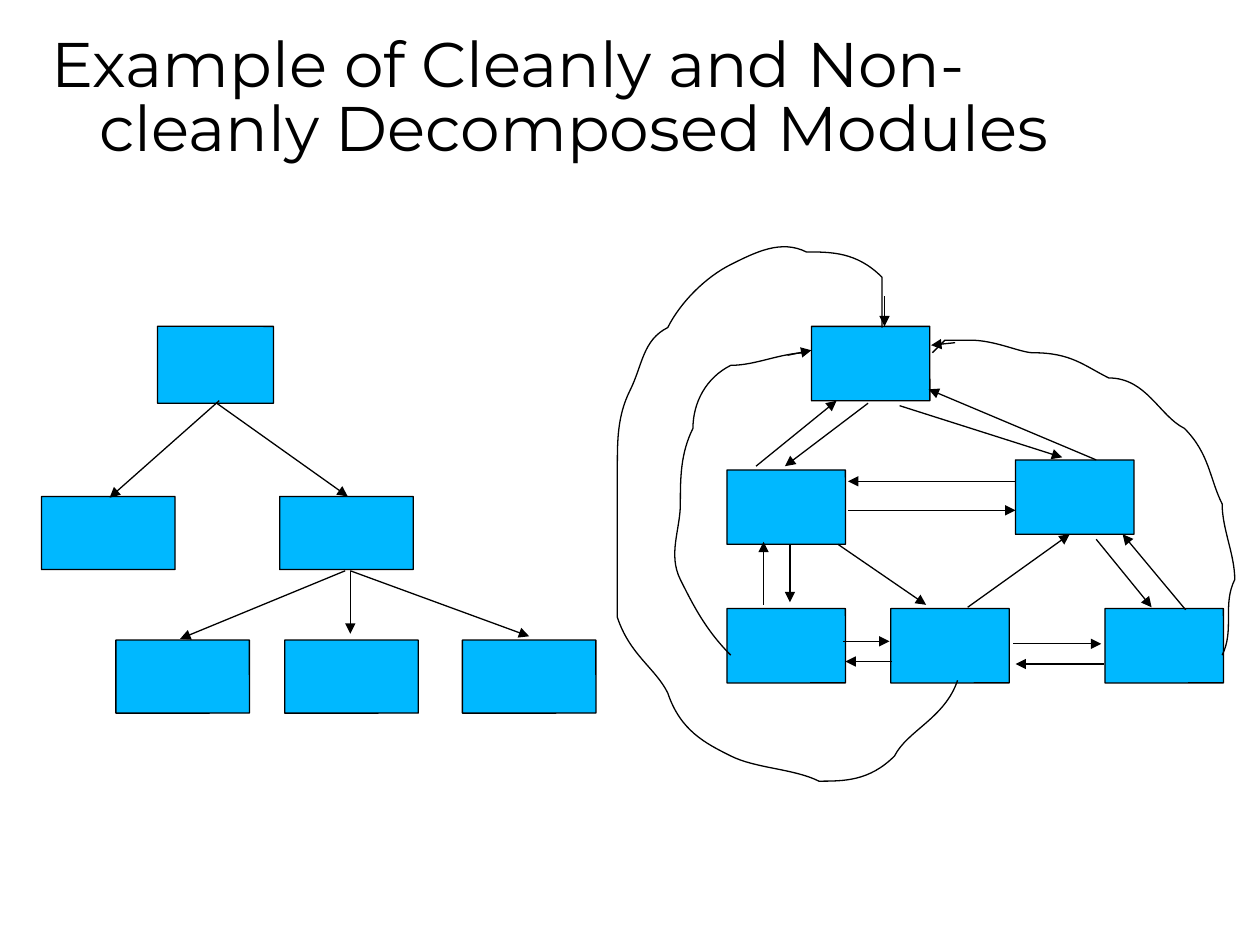
import lxml.etree
import pptx
import pptx.dml.color
import pptx.enum.shapes
import pptx.enum.text
import pptx.oxml.ns
import pptx.util

COLOURS = {"ink": "000000", "module": "00B8FF", "paper": "FFFFFF"}
SHAPES = pptx.enum.shapes.MSO_SHAPE
qn = pptx.oxml.ns.qn


def colour(name):
    """Return a named colour as an RGB value."""
    return pptx.dml.color.RGBColor.from_string(COLOURS[name])


def apply(target, values):
    """Set attributes of an object from a dict."""
    for name, value in values.items():
        setattr(target, name, value)


class Sketch:
    """Style and current slide, measured on a grid of 100 columns by 75 rows."""

    cell = pptx.util.Inches(0.1)
    line_width = pptx.util.Pt(0.74)
    title_font = {"name": "Montserrat", "size": pptx.util.Pt(36)}

    def __init__(self, deck):
        """Add a blank page to the deck."""
        apply(deck, {"slide_width": 100 * self.cell, "slide_height": 75 * self.cell})
        self.page = deck.slides.add_slide(deck.slide_layouts[6])
        self.page.background.fill.solid()
        self.page.background.fill.fore_color.rgb = colour("paper")

    def grid(self, *cells):
        """Turn grid cells into lengths."""
        return [pptx.util.Emu(round(count * self.cell)) for count in cells]

    def stroke(self, line):
        """Give a line the common colour and width."""
        line.color.rgb = colour("ink")
        line.width = self.line_width

    def title(self, text, left, top, width, height):
        """Write the title with a hanging indent."""
        box = self.page.shapes.add_textbox(*self.grid(left, top, width, height))
        apply(box.text_frame, {
            "word_wrap": True,
            "vertical_anchor": pptx.enum.text.MSO_ANCHOR.MIDDLE,
            "margin_left": 0, "margin_right": 0, "margin_top": 0, "margin_bottom": 0})
        para = box.text_frame.paragraphs[0]
        apply(para, {"line_spacing": 0.85, "alignment": pptx.enum.text.PP_ALIGN.LEFT})
        hang, = self.grid(3.8)
        for name, value in {"marL": hang, "indent": -hang}.items():
            para._p.get_or_add_pPr().set(name, str(int(value)))
        span = para.add_run()
        span.text = text
        apply(span.font, self.title_font)
        span.font.color.rgb = colour("ink")

    def module(self, left, top, width, height):
        """Draw one module box."""
        box = self.page.shapes.add_shape(
            SHAPES.ROUNDED_RECTANGLE, *self.grid(left, top, width, height))
        box.adjustments[0] = 0.003
        box.shadow.inherit = False
        box.fill.solid()
        box.fill.fore_color.rgb = colour("module")
        self.stroke(box.line)

    def arrow(self, *ends):
        """Draw a straight arrow to its second end."""
        link = self.page.shapes.add_connector(
            pptx.enum.shapes.MSO_CONNECTOR.STRAIGHT, *self.grid(*ends))
        self.stroke(link.line)
        lxml.etree.SubElement(link.line._get_or_add_ln(), qn("a:tailEnd"), type="triangle")
        lxml.etree.SubElement(link._element.spPr, qn("a:effectLst"))

    def curve(self, start, bends, tail):
        """Draw an open outline: cubic bends first, then straight pieces."""
        points = [bend[i:i + 2] for bend in bends for i in (0, 2, 4)] + tail
        builder = self.page.shapes.build_freeform(*start, scale=self.cell)
        builder.add_line_segments(points, close=False)
        outline = builder.convert_to_shape()
        outline.shadow.inherit = False
        outline.fill.background()
        self.stroke(outline.line)
        pieces = outline._element.findall(".//" + qn("a:lnTo"))
        for i in range(0, 3 * len(bends), 3):
            bezier = lxml.etree.Element(qn("a:cubicBezTo"))
            pieces[i].addprevious(bezier)
            for piece in pieces[i:i + 3]:
                bezier.append(piece[0])
                piece.getparent().remove(piece)


CLEAN_ROOT = (12.5, 25.9, 9.2, 6.1)
CLEAN_SIZE = (10.6, 5.8)
CLEAN_ROWS = {39.4: (3.3, 22.2), 50.8: (9.2, 22.6, 36.7)}
CLEAN_ARROWS = [
    (17.4, 31.8, 8.7, 39.5), (17.2, 32, 27.6, 39.4), (27.4, 45.3, 14.3, 50.7),
    (27.8, 45.3, 27.8, 50.3), (27.8, 45.3, 42, 50.5)]

TANGLED_SIZE = (9.4, 5.9)
TANGLED_ROWS = {25.9: (64.4,), 36.5: (80.6,), 37.3: (57.7,), 48.3: (57.7, 70.7, 87.7)}
TANGLED_ARROWS = [
    (68.9, 32, 62.3, 37), (60, 37, 66.4, 31.8),
    (71.4, 32.2, 84.3, 36.3), (87, 36.5, 73.7, 30.9),
    (67.3, 40.5, 80.6, 40.5), (80.6, 38.2, 67.3, 38.2),
    (62.7, 43.2, 62.7, 47.8), (60.6, 48, 60.6, 43),
    (66.5, 43.2, 73.5, 48), (76.8, 48.2, 84.9, 42.4),
    (87, 42.8, 91.4, 48.2), (94.1, 48.4, 89.1, 42.4),
    (80.4, 51.1, 87.4, 51.1), (87.6, 52.7, 80.6, 52.7),
    (66.9, 50.9, 70.6, 50.9), (70.8, 52.5, 67.1, 52.5),
    (62.5, 28.2, 64.4, 27.8), (75.8, 27.2, 73.9, 27.4), (70.2, 23.5, 70.2, 25.9)]

LOOPS = [
    ((57.5, 51.5),
     [(55.5, 50.1, 55.2, 47.7, 54.2, 45.7), (53.4, 43.9, 53.6, 41.9, 53.6, 39.9),
      (53.7, 37.9, 54.2, 36, 54.6, 34.1), (55, 32.1, 56, 29.8, 58.2, 29.1),
      (60.1, 28.6, 62, 28.1, 64, 28)],
     [(64.4, 27.8)]),
    ((96.8, 51.9),
     [(98.2, 50.1, 97.4, 48, 97.8, 46.1), (98.1, 44.1, 97.2, 42.2, 96.6, 40.3),
      (95.9, 38.2, 95.6, 36.2, 93.7, 34.5), (91.9, 32.9, 90.7, 30.4, 88.3, 29.5),
      (86.4, 28.8, 84.6, 27.7, 82.5, 27.6), (80.6, 27.5, 78.7, 27, 76.8, 27.2)],
     [(74.8, 27.4), (73.7, 27.6)]),
    ((75.6, 54.4),
     [(75, 57.1, 72.1, 57.8, 70.6, 59.8), (69.2, 61.5, 66.8, 61.9, 64.8, 61.5),
      (62.6, 61.1, 60.3, 60.7, 58.2, 59.8), (56.1, 58.8, 53.7, 57.9, 52.9, 55.3),
      (52.1, 53, 49.6, 51.7, 49.2, 49.2), (48.8, 47.2, 49, 45.2, 49, 43.2),
      (49, 41.3, 48.9, 39.3, 49, 37.4), (49.2, 35.4, 49.3, 33.4, 50, 31.4),
      (50.7, 29.3, 51.3, 27.2, 52.9, 25.5), (54.4, 23.7, 56.1, 22, 58.2, 21),
      (60.1, 20.2, 62.1, 19.4, 64, 19.9), (66.1, 20.3, 68.5, 20, 69.8, 22.2)],
     [(70, 24.1), (70.2, 26)])]

deck = pptx.Presentation()
sketch = Sketch(deck)
sketch.title("Example of Cleanly and Non-cleanly Decomposed Modules", 4.1, 1.7, 85, 12.5)
sketch.module(*CLEAN_ROOT)
for rows, size in ((CLEAN_ROWS, CLEAN_SIZE), (TANGLED_ROWS, TANGLED_SIZE)):
    for top, lefts in rows.items():
        for left in lefts:
            sketch.module(left, top, *size)
for ends in CLEAN_ARROWS + TANGLED_ARROWS:
    sketch.arrow(*ends)
for start, bends, tail in LOOPS:
    sketch.curve(start, bends, tail)
deck.save("out.pptx")
